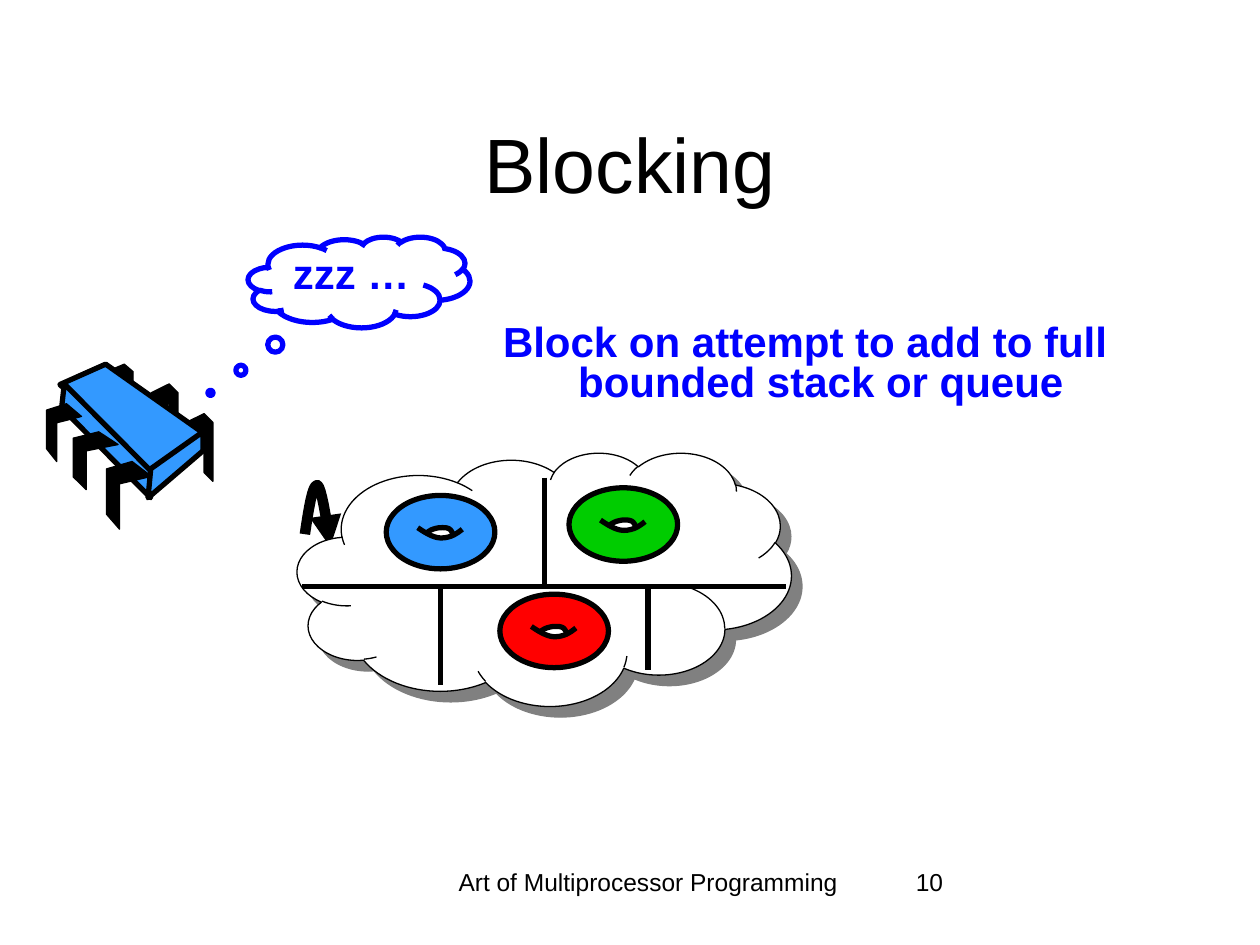
import pptx
import pptx.dml.color
import pptx.enum.shapes
import pptx.enum.text
import pptx.oxml.ns
import pptx.util
from lxml import etree

SHAPE = pptx.enum.shapes.MSO_SHAPE
ALIGN = pptx.enum.text.PP_ALIGN
ANCHOR = pptx.enum.text.MSO_ANCHOR
qn = pptx.oxml.ns.qn

# Grid of 100 columns by 75 rows; boxes are (left, top, width, height)
CELL = pptx.util.Inches(0.1)
BLACK, WHITE, BLUE, SKY = "000000", "FFFFFF", "0000FF", "3399FF"

# Outlines as shares of their own box
BACK_LEG = [(0, .13), (.67, 0), (1, .13), (1, 1), (.67, .87), (.67, .29), (0, .43)]
FRONT_LEG = [(.57, 0), (1, .22), (.29, .33), (.29, 1), (0, .78), (0, .11)]
TOP_FACE = [(.32, 0), (1, .64), (.62, 1), (0, .19)]
LEFT_FACE = [(.03, 0), (1, .77), (.99, 1), (0, .21)]
RIGHT_FACE = [(1, 0), (1, .29), (0, 1), (.05, .56)]


def color(value):
    return pptx.dml.color.RGBColor.from_string(value)


def grid(*lengths):
    return [round(n * CELL) for n in lengths]


def inside(box, x, y, w=0, h=0):
    """Turn shares of a box into a box on the grid."""
    return box[0] + x * box[2], box[1] + y * box[3], w * box[2], h * box[3]


def curve(start, *segments, steps=8):
    """Points along joined cubic curves, each (control, control, end)."""
    points = [start]
    for b, c, d in segments:
        a = points[-1]
        for i in range(1, steps + 1):
            t = i / steps
            u = 1 - t
            points.append(tuple(u**3 * a[k] + 3 * u * u * t * b[k]
                                + 3 * u * t * t * c[k] + t**3 * d[k] for k in (0, 1)))
    return points


OPENING = curve((.05, .6), ((.3, .95), (.5, 1), (.65, 1)), ((.8, 1), (.95, .9), (1, .85)),
                ((.9, .3), (.8, 0), (.68, 0)), ((.4, .05), (0, .3), (.05, .6)))
LID = curve((0, .75), ((.15, .25), (.3, .1), (.5, 0)), ((.85, -.05), (.9, .1), (1, .9)))
SMILE = curve((0, 0), ((.25, .75), (.4, 1), (.53, 1)), ((.75, 1), (.9, .5), (1, .15)))
LOOP = curve((0, .8), ((.15, .4), (.3, 0), (.5, .02)), ((.65, .06), (.85, .52), (1, 1)))


def style(sp, fill, line, width):
    sp.shadow.inherit = False
    if fill:
        sp.fill.solid()
        sp.fill.fore_color.rgb = color(fill)
    else:
        sp.fill.background()
    sp.line.color.rgb = color(line)
    sp.line.width = pptx.util.Pt(width)
    return sp


def add_preset(s, kind, box, fill, line=BLACK, width=3):
    return style(s.shapes.add_shape(kind, *grid(*box)), fill, line, width)


def add_outline(s, box, points, fill=None, width=3, close=True):
    spots = [grid(*inside(box, x, y)[:2]) for x, y in points]
    builder = s.shapes.build_freeform(*spots[0])
    builder.add_line_segments(spots[1:], close=close)
    return style(builder.convert_to_shape(), fill, BLACK, width)


def add_text(tf, text, size, align=ALIGN.CENTER, ink=BLACK, bold=False):
    tf.word_wrap = True
    p = tf.paragraphs[0]
    p.alignment = align
    r = p.add_run()
    r.text = text
    r.font.size = pptx.util.Pt(size)
    r.font.name = "Arial"
    r.font.bold = bold
    r.font.color.rgb = color(ink)
    return p


def add_statement(tf, text):
    """Bold blue text with tight lines and a hanging indent."""
    tf.vertical_anchor = ANCHOR.TOP
    p = add_text(tf, text, 24, ink=BLUE, bold=True)
    p.line_spacing = 0.8
    pPr = p._p.get_or_add_pPr()
    pPr.set("marL", str(pptx.util.Inches(0.25)))
    pPr.set("indent", str(-pptx.util.Inches(0.25)))


def add_title(s, box, text):
    title = s.shapes.title
    title.left, title.top, title.width, title.height = grid(*box)
    title.text_frame.vertical_anchor = ANCHOR.MIDDLE
    add_text(title.text_frame, text, 44)


def add_footer(s, box, text, align):
    add_text(s.shapes.add_textbox(*grid(*box)).text_frame, text, 14, align)


def add_chip(s, box):
    """Processor chip: back legs, three faces, front legs."""
    for leg in [(.84, .30, .16, .41), (.63, .12, .16, .41), (.36, 0, .16, .35)]:
        add_outline(s, inside(box, *leg), BACK_LEG, BLACK, 0.75)
    for face, points in [((.08, 0, .86, .65), TOP_FACE),
                         ((.09, .12, .54, .69), LEFT_FACE),
                         ((.61, .41, .33, .40), RIGHT_FACE)]:
        add_outline(s, inside(box, *face), points, SKY)
    for leg in [(.36, .59, .27, .41), (.16, .41, .27, .35), (0, .24, .21, .35)]:
        add_outline(s, inside(box, *leg), FRONT_LEG, BLACK, 0.75)


def add_thought(s, box, text):
    sp = add_preset(s, SHAPE.CLOUD_CALLOUT, box, WHITE, BLUE)
    sp.adjustments[0], sp.adjustments[1] = -0.67, 1.22
    add_statement(sp.text_frame, text)


def add_arrow(s, box):
    sp = add_outline(s, box, LOOP, width=6, close=False)
    etree.SubElement(sp.line._get_or_add_ln(), qn("a:tailEnd"), type="triangle")


def add_donut(s, box, fill):
    add_preset(s, SHAPE.OVAL, box, fill)
    add_outline(s, inside(box, .36, .44, .26, .15), OPENING, WHITE, 0.75)
    add_outline(s, inside(box, .36, .44, .26, .12), LID, close=False)
    add_outline(s, inside(box, .29, .44, .41, .14), SMILE, close=False)


def add_pool(s, box):
    """Cloud of compartments that hold the items."""
    cloud = add_preset(s, SHAPE.CLOUD, box, WHITE, width=0.75)
    effects = cloud._element.spPr.find(qn("a:effectLst"))
    shadow = etree.SubElement(effects, qn("a:outerShdw"), dist=str(pptx.util.Pt(8.5)),
                              dir="2700000", algn="ctr", rotWithShape="0")
    etree.SubElement(shadow, qn("a:srgbClr"), val="808080")

    for x, y, fill in [(.18, .17, SKY), (.41, .56, "FF0000"), (.55, .14, "00CC00")]:
        add_donut(s, inside(box, x, y, .22, .29), fill)

    # Dividers
    for x1, y1, x2, y2 in [(.5, .10, .5, .52), (.01, .53, .99, .53),
                           (.29, .54, .29, .92), (.71, .54, .71, .86)]:
        ends = inside(box, x1, y1)[:2] + inside(box, x2, y2)[:2]
        line = s.shapes.add_connector(pptx.enum.shapes.MSO_CONNECTOR.STRAIGHT, *grid(*ends))
        line.line.color.rgb = color(BLACK)
        line.line.width = pptx.util.Pt(3)
        etree.SubElement(line._element.spPr, qn("a:effectLst"))


def main():
    prs = pptx.Presentation()
    prs.slide_width, prs.slide_height = grid(100, 75)
    s = prs.slides.add_slide(prs.slide_layouts[5])

    add_footer(s, (34.2, 68.3, 34.5, 5), "Art of Multiprocessor Programming", ALIGN.CENTER)
    add_footer(s, (71.7, 68.3, 20.8, 5), "10", ALIGN.LEFT)
    add_title(s, (7.5, 6.7, 85, 12.5), "Blocking")
    add_arrow(s, (24.2, 38.4, 2, 5))
    add_chip(s, (3.7, 28.9, 13.2, 13.1))
    add_thought(s, (19.7, 18.8, 17.6, 7.2), "zzz …")
    add_pool(s, (23.6, 35.9, 39.2, 20.1))

    message = s.shapes.add_textbox(*grid(38.9, 25.3, 50, 7.5))
    add_statement(message.text_frame, "Block on attempt to add to full bounded stack or queue")
    prs.save("out.pptx")


if __name__ == "__main__":
    main()
